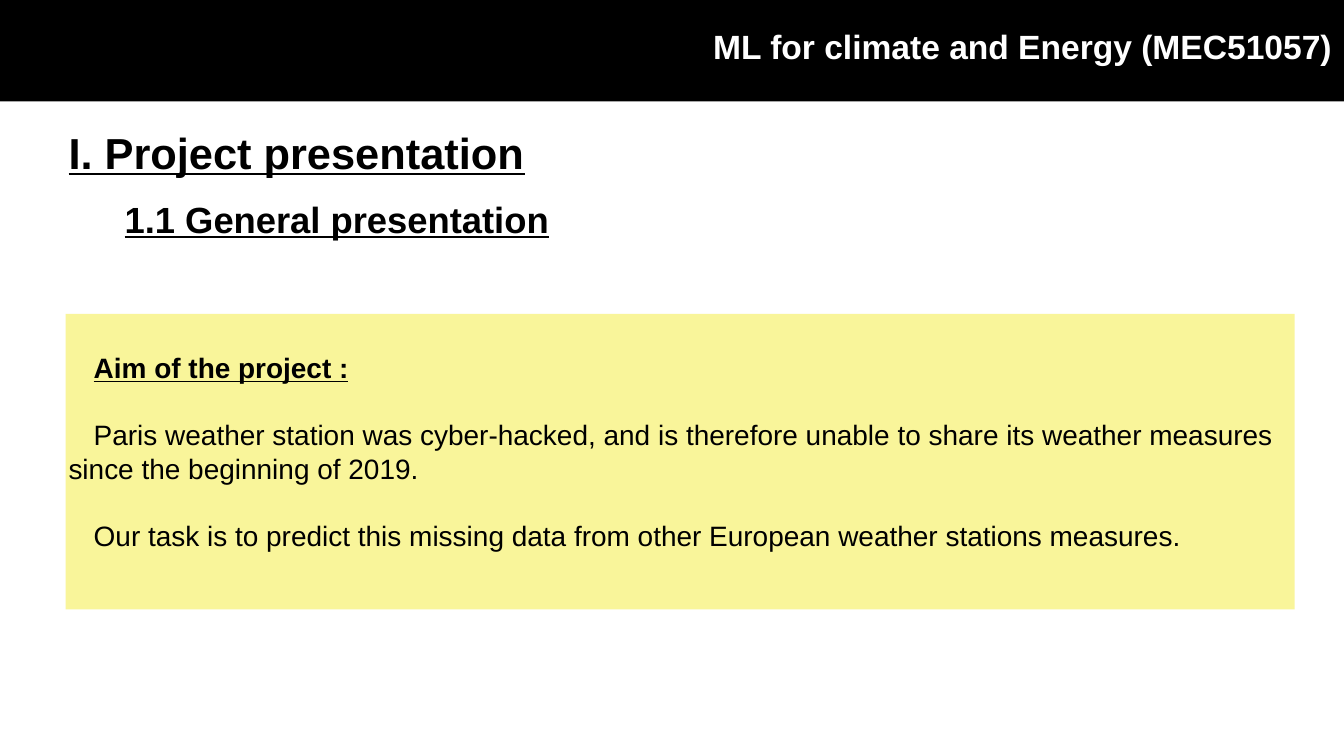
from pptx import Presentation
from pptx.dml.color import RGBColor
from pptx.enum import shapes, text
from pptx.util import Pt

# Content
HEADINGS = [  # wording, (left, top, width, height), format, alignment
    ("ML for climate and Energy (MEC51057)", (1014.48, 36.72, 895.68, 64.8),
     dict(size=48, color="FFFFFF", bold=True), text.PP_ALIGN.LEFT),
    ("I. Project presentation", (92.16, 181.44, 663.12, 81.36),
     dict(size=62, color="000000", bold=True, underline=True), text.PP_ALIGN.CENTER),
    ("1.1 General presentation", (173.52, 280.8, 615.6, 70.56),
     dict(size=52, color="000000", bold=True, underline=True), text.PP_ALIGN.CENTER),
]
BODY = dict(size=40, color="000000")
AIM = [
    ("Aim of the project :", dict(BODY, bold=True, underline=True)),
    ("Paris weather station was cyber-hacked, and is therefore unable to share "
     "its weather measures since the beginning of 2019.", BODY),
    ("Our task is to predict this missing data from other European weather "
     "stations measures.", BODY),
]
BAND = (-10.8, -6.48, 1959.12, 151.2)
PANEL = (93.6, 448.56, 1756.08, 421.92)
INSET, LINE, INDENT = 4.32, 48, 36


def rgb(value):
    return RGBColor.from_string(value)


def add_run(p, words, fmt):
    r = p.add_run()
    r.text = words
    r.font.name = "Arial"
    r.font.size = Pt(fmt["size"])
    r.font.color.rgb = rgb(fmt["color"])
    for key in ("bold", "underline"):
        setattr(r.font, key, fmt.get(key, False))


def set_frame(tf, wrap, anchor, top=INSET):
    values = dict(margin_left=Pt(INSET), margin_right=Pt(INSET), margin_top=Pt(top),
                  margin_bottom=Pt(INSET), word_wrap=wrap, vertical_anchor=anchor)
    for key, value in values.items():
        setattr(tf, key, value)


def add_box(s, place, fill):
    sp = s.shapes.add_shape(shapes.MSO_SHAPE.RECTANGLE, *map(Pt, place))
    sp.shadow.inherit = False
    sp.fill.solid()
    sp.fill.fore_color.rgb = rgb(fill)
    sp.line.fill.background()
    return sp


prs = Presentation()
prs.slide_width, prs.slide_height = Pt(1920.24), Pt(1080)
s = prs.slides.add_slide(prs.slide_layouts[6])

# Aim panel: one line of air above the text and between paragraphs
tf = add_box(s, PANEL, "F9F59A").text_frame
set_frame(tf, True, text.MSO_ANCHOR.TOP, INSET + LINE)
for i, (words, fmt) in enumerate(AIM):
    p = tf.paragraphs[0] if i == 0 else tf.add_paragraph()
    p.alignment = text.PP_ALIGN.LEFT
    p.line_spacing = Pt(LINE)
    if i:
        p.space_before = Pt(LINE)
    p._p.get_or_add_pPr().set("indent", str(Pt(INDENT)))
    add_run(p, words, fmt)

# Header band, course title and headings
add_box(s, BAND, "000000")
for words, place, fmt, align in HEADINGS:
    tf = s.shapes.add_textbox(*map(Pt, place)).text_frame
    set_frame(tf, False, text.MSO_ANCHOR.MIDDLE)
    tf.auto_size = text.MSO_AUTO_SIZE.SHAPE_TO_FIT_TEXT
    p = tf.paragraphs[0]
    p.alignment = align
    p.line_spacing = 0.9
    add_run(p, words, fmt)

prs.save("out.pptx")
